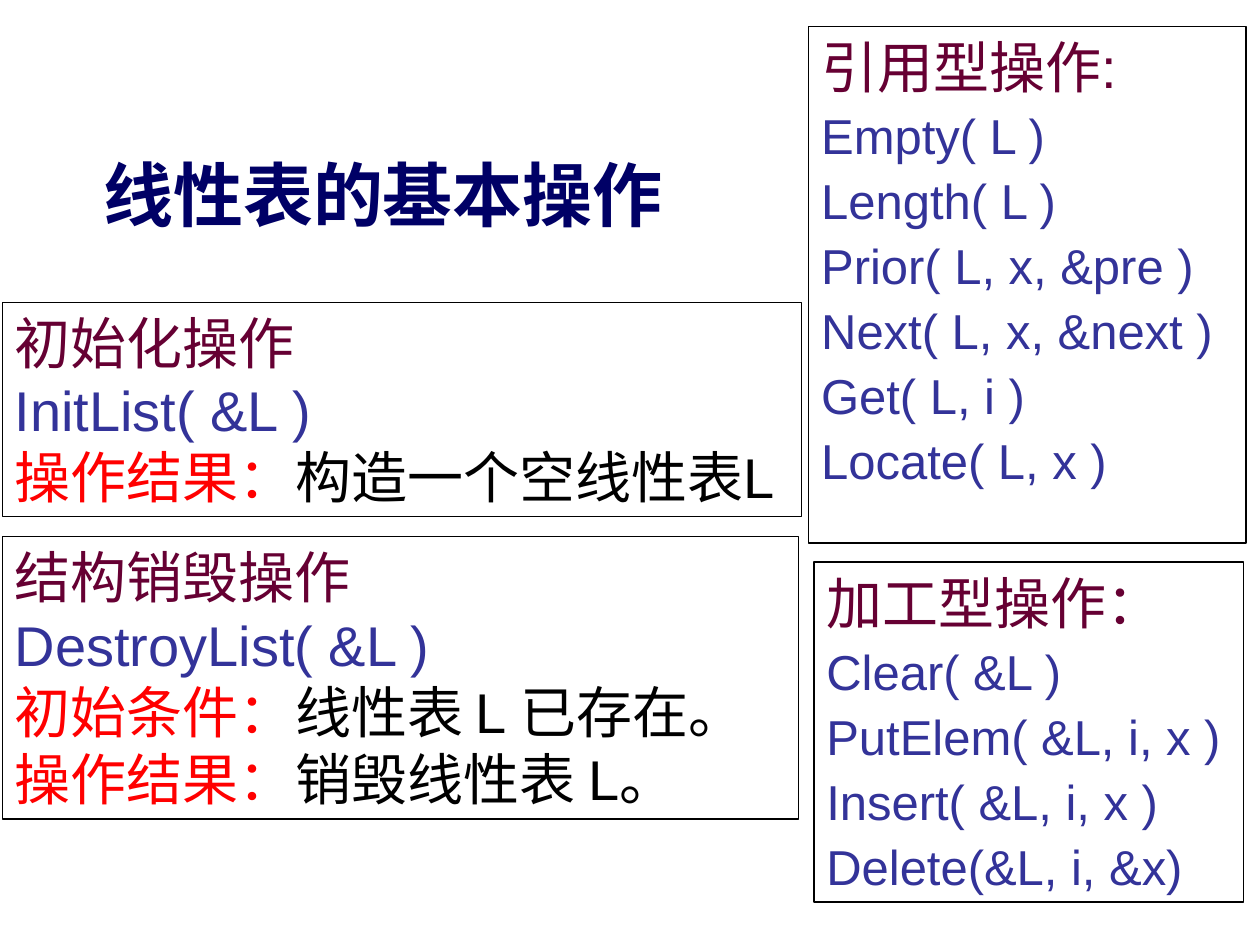
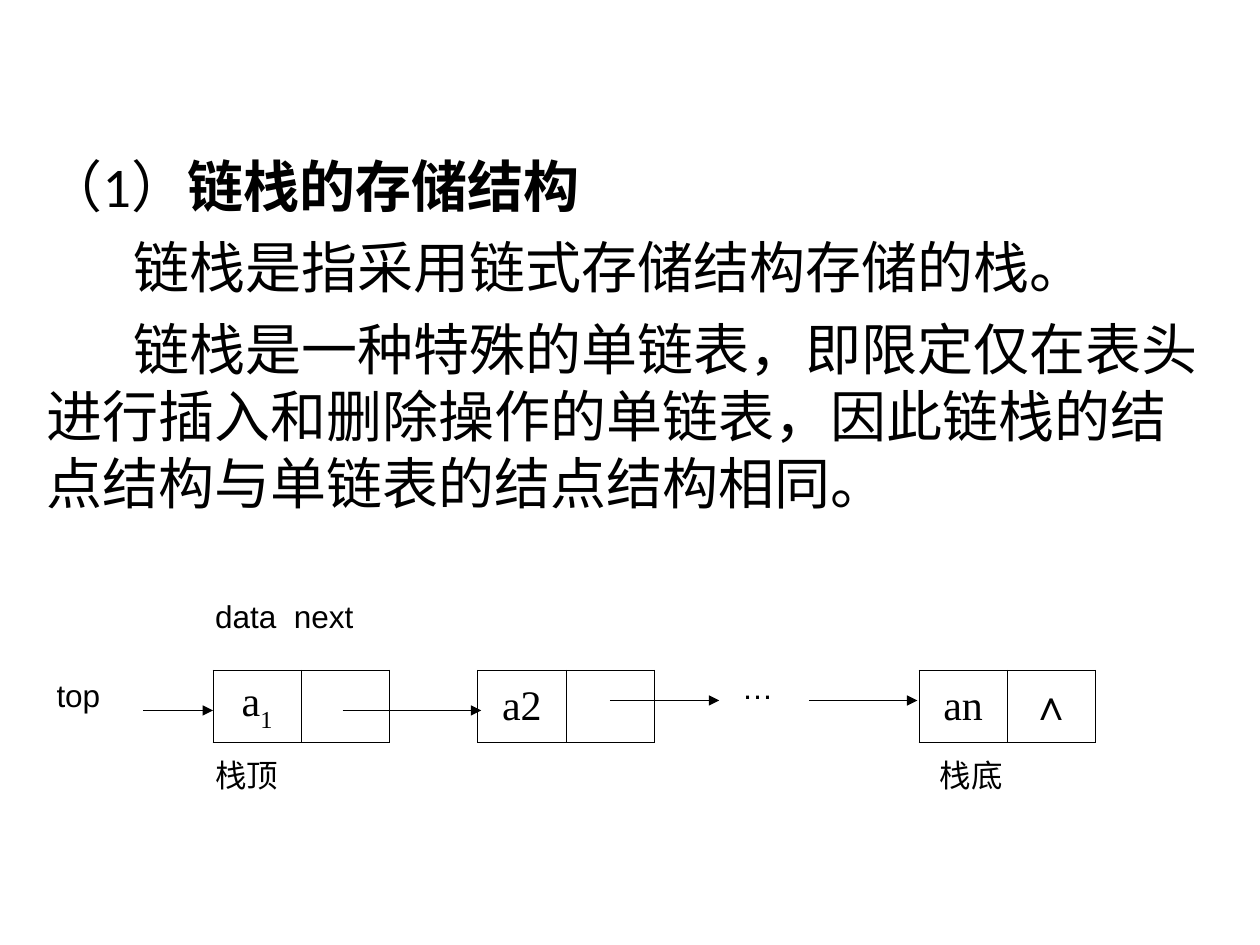
from dataclasses import dataclass
from typing import Optional

from lxml.etree import SubElement
from pptx import Presentation
from pptx.dml.color import RGBColor
from pptx.enum.shapes import MSO_CONNECTOR as Connector, MSO_SHAPE as Shape
from pptx.enum.text import MSO_ANCHOR as Anchor, PP_ALIGN as Align
from pptx.oxml.ns import qn
from pptx.util import Pt

BLACK = RGBColor(0x00, 0x00, 0x00)
NAVY = RGBColor(0x00, 0x00, 0x66)
PLUM = RGBColor(0x66, 0x00, 0x33)
INDIGO = RGBColor(0x33, 0x33, 0x99)
RED = RGBColor(0xFF, 0x00, 0x00)
SANS, SERIF, BODY, CJK = "Arial", "Times New Roman", "Calibri", "Noto Sans CJK SC"


@dataclass(frozen=True)
class Style:
    size: float
    color: RGBColor = BLACK
    font: str = SANS
    bold: bool = False


@dataclass(frozen=True)
class Line:
    text: str
    style: Style
    lead: str = ""  # opening words of the line, set in lead_style
    lead_style: Optional[Style] = None
    before: float = 0
    indent: float = 0


@dataclass(frozen=True)
class Panel:
    left: float
    top: float
    width: float
    height: float
    lines: list[Line]
    wrap: bool = True


@dataclass(frozen=True)
class Arrow:
    start: float
    end: float
    y: float


@dataclass(frozen=True)
class Label:
    text: str
    left: float
    top: float
    width: float


TITLE = Style(40, NAVY, CJK, True)
GROUP = Style(32, PLUM)
CALL = Style(32, INDIGO)
SHORT_CALL = Style(28, INDIGO)
CONDITION = Style(32, RED)
MEANING = Style(32)
PROSE = Style(32, font=BODY)
HEADING = Style(32, font=BODY, bold=True)
NODE = Style(24, font=SERIF)
CAPTION = Style(18)


# Shared text and drawing helpers
def format_run(run, style: Style) -> None:
    run.font.size = Pt(style.size)
    run.font.bold = style.bold
    run.font.color.rgb = style.color
    run.font.name = style.font
    SubElement(run.font._element, qn("a:ea"), typeface=CJK)


def write_lines(frame, lines: list[Line], wrap: bool = True) -> None:
    frame.word_wrap = wrap
    frame.vertical_anchor = Anchor.TOP
    frame.margin_left = frame.margin_right = Pt(7.2)
    frame.margin_top = frame.margin_bottom = Pt(3.6)
    for index, line in enumerate(lines):
        paragraph = frame.add_paragraph() if index else frame.paragraphs[0]
        paragraph.text = line.lead or line.text
        if line.lead:
            paragraph.add_run().text = line.text
        paragraph.alignment = Align.LEFT
        paragraph.space_before = Pt(line.before)
        if line.indent:
            paragraph._p.get_or_add_pPr().set("indent", str(Pt(line.indent)))
        for run in paragraph.runs:
            format_run(run, line.style)
        if line.lead_style:
            first = paragraph.runs[0].font
            first.color.rgb = line.lead_style.color
            first.bold = line.lead_style.bold


def add_text(slide, left: float, top: float, width: float, height: float,
             lines: list[Line]) -> None:
    box = slide.shapes.add_textbox(Pt(left), Pt(top), Pt(width), Pt(height))
    write_lines(box.text_frame, lines)


def place_title(slide, left: float, top: float, width: float, height: float,
                line: Line) -> None:
    title = slide.shapes.title
    title.left, title.top = Pt(left), Pt(top)
    title.width, title.height = Pt(width), Pt(height)
    write_lines(title.text_frame, [line])


def add_panel(slide, panel: Panel) -> None:
    frame = slide.shapes.add_shape(Shape.RECTANGLE, Pt(panel.left), Pt(panel.top),
                                   Pt(panel.width), Pt(panel.height))
    frame.shadow.inherit = False
    frame.fill.background()
    frame.line.color.rgb = BLACK
    frame.line.width = Pt(0.75)
    write_lines(frame.text_frame, panel.lines, panel.wrap)


def add_arrow(slide, arrow: Arrow) -> None:
    pointer = slide.shapes.add_connector(Connector.STRAIGHT, Pt(arrow.start), Pt(arrow.y),
                                         Pt(arrow.end), Pt(arrow.y))
    pointer.line.color.rgb = BLACK
    pointer.line.width = Pt(0.75)
    SubElement(pointer.line._get_or_add_ln(), qn("a:tailEnd"), type="triangle")
    SubElement(pointer._element.spPr, qn("a:effectLst"))


def call_list(group: str, calls: list[str]) -> list[Line]:
    return [Line(group, GROUP)] + [Line(call, SHORT_CALL, before=3.5) for call in calls]


def explained(lead: str, text: str) -> Line:
    return Line(text, MEANING, lead, CONDITION)


# Slide 1: basic operations of a linear list
PANELS = [
    Panel(1.4, 172.8, 456.5, 122.4, [
        Line("初始化操作", GROUP),
        Line("InitList( &L )", CALL),
        explained("操作结果：", "构造一个空线性表L"),
    ], wrap=False),
    Panel(1.4, 306.7, 455, 161.3, [
        Line("结构销毁操作", GROUP),
        Line("DestroyList( &L )", CALL),
        explained("初始条件：", "线性表 L 已存在。"),
        explained("操作结果：", "销毁线性表 L。"),
    ]),
    Panel(462.2, 15.1, 249.8, 295.2, call_list("引用型操作:", [
        "Empty( L )", "Length( L )", "Prior( L, x, &pre )",
        "Next( L, x, &next )", "Get( L, i )", "Locate( L, x )",
    ])),
    Panel(465.1, 321.1, 245.5, 194.4, call_list("加工型操作：", [
        "Clear( &L )", "PutElem( &L, i, x )", "Insert( &L, i, x )", "Delete(&L, i, &x)",
    ])),
]


def build_operations(slide) -> None:
    place_title(slide, 41.8, 82.8, 380.9, 55.4, Line("线性表的基本操作", TITLE, indent=10))
    for panel in PANELS:
        add_panel(slide, panel)


# Slide 2: storage structure of a linked stack
CHAIN_LEFT, CHAIN_TOP, CELL_WIDTH, CELL_HEIGHT = 121.7, 383, 50.45, 41
CHAIN = ["a1", "", None, "a2", "", None, None, None, "an", "∧"]  # None is a gap
ARROWS = [Arrow(82, 121.7, 406), Arrow(195.8, 275, 406),
          Arrow(348.5, 411, 400.3), Arrow(462.2, 524.2, 400.3)]
LABELS = [Label("top", 25.2, 383, 51), Label("data  next", 115.9, 337.7, 136),
          Label("栈顶", 115.9, 428.4, 85), Label("栈底", 529.9, 428.4, 73.4),
          Label("…", 416.9, 378, 47.5)]


def set_border(cell, side: str, shown: bool) -> None:
    edge = SubElement(cell._tc.get_or_add_tcPr(), qn(f"a:ln{side}"), w=str(Pt(0.45)))
    if shown:
        fill = SubElement(edge, qn("a:solidFill"))
        SubElement(fill, qn("a:srgbClr"), val=str(BLACK))
    else:
        SubElement(edge, qn("a:noFill"))


def add_chain(slide) -> None:
    count = len(CHAIN)
    chain = slide.shapes.add_table(1, count, Pt(CHAIN_LEFT), Pt(CHAIN_TOP),
                                   Pt(CELL_WIDTH * count), Pt(CELL_HEIGHT)).table
    chain.first_row = chain.horz_banding = False
    is_node = [content is not None for content in CHAIN]
    for index, content in enumerate(CHAIN):
        cell = chain.cell(0, index)
        cell.vertical_anchor = Anchor.MIDDLE
        set_border(cell, "L", any(is_node[max(index - 1, 0):index + 1]))
        set_border(cell, "R", any(is_node[index:index + 2]))
        for side in "TB":
            set_border(cell, side, is_node[index])
        cell.fill.background()
        if not content:
            continue
        paragraph = cell.text_frame.paragraphs[0]
        paragraph.alignment = Align.CENTER
        paragraph.text = content
        if content == "a1":
            paragraph.text = "a"
            subscript = paragraph.add_run()
            subscript.text = "1"
            subscript.font._element.set("baseline", "-30000")
        for run in paragraph.runs:
            format_run(run, NODE)


def build_linked_stack(slide) -> None:
    place_title(slide, 19.4, 82.8, 680.4, 46,
                Line("链栈的存储结构", HEADING, "（1）", PROSE))
    add_text(slide, 19.4, 129.6, 680.4, 191.5, [
        Line("链栈是指采用链式存储结构存储的栈。", PROSE, indent=49.7),
        Line("链栈是一种特殊的单链表，即限定仅在表头进行插入和删除操作的单链表，"
             "因此链栈的结点结构与单链表的结点结构相同。", PROSE, before=8, indent=49.7),
    ])
    add_chain(slide)
    for arrow in ARROWS:
        add_arrow(slide, arrow)
    for label in LABELS:
        add_text(slide, label.left, label.top, label.width, 28.8,
                 [Line(label.text, CAPTION)])


def main() -> None:
    deck = Presentation()
    deck.slide_width, deck.slide_height = Pt(720), Pt(540)
    title_only = deck.slide_layouts[5]
    for build in (build_operations, build_linked_stack):
        build(deck.slides.add_slide(title_only))
    deck.save("out.pptx")


if __name__ == "__main__":
    main()
